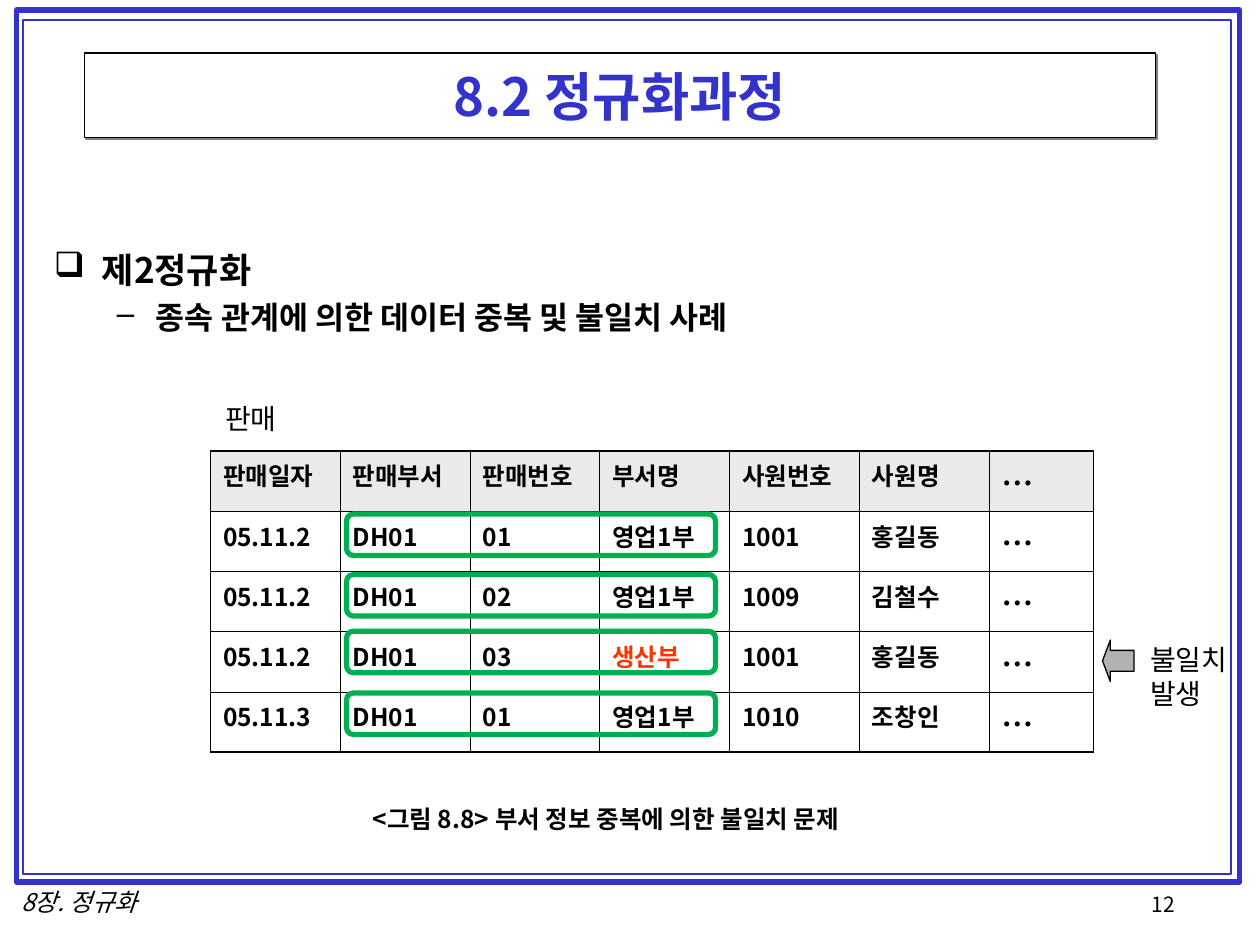
from dataclasses import dataclass

from lxml.etree import SubElement
from pptx import Presentation
from pptx.dml.color import RGBColor
from pptx.enum.shapes import MSO_SHAPE as Shape
from pptx.enum.text import MSO_ANCHOR as Anchor, PP_ALIGN as Align
from pptx.oxml.ns import qn
from pptx.util import Inches, Pt


@dataclass(frozen=True)
class Theme:
    """Colours, fonts and type sizes of the slide."""
    ink: str = "000000"
    paper: str = "FFFFFF"
    blue: str = "3333CC"
    green: str = "00B050"
    red: str = "FF3300"
    header: str = "EAEAEA"
    arrow: str = "B2B2B2"
    shadow: str = "808080"
    sans: str = "Noto Sans CJK KR"
    serif: str = "Times New Roman"
    title: int = 30
    topic: int = 20
    detail: int = 18
    label: int = 16
    small: int = 14
    number: int = 12
    thin: float = 0.45
    outer: float = 1.08


class SlideBuilder:
    """Draws styled elements on the current slide."""

    def __init__(self, theme, slide):
        self.theme = theme
        self.slide = slide

    def run(self, paragraph, text, size, color=None, font=None, bold=False, italic=False):
        """Add one formatted run for Latin and Korean letters."""
        run = paragraph.add_run()
        run.text = text
        run.font.size = Pt(size)
        run.font.bold = bold
        run.font.italic = italic
        run.font.name = font or self.theme.sans
        run.font.color.rgb = RGBColor.from_string(color or self.theme.ink)
        SubElement(run.font._element, qn("a:ea"), typeface=self.theme.sans)

    def title(self, text, box):
        """Fill the title placeholder as a framed box with a shadow."""
        title = self.slide.shapes.title
        title.left, title.top, title.width, title.height = map(Inches, box)
        title.fill.solid()
        title.fill.fore_color.rgb = RGBColor.from_string(self.theme.paper)
        title.line.color.rgb = RGBColor.from_string(self.theme.ink)
        title.line.width = Pt(0.75)
        effects = SubElement(title._element.spPr, qn("a:effectLst"))
        shadow = SubElement(effects, qn("a:outerShdw"), blurRad="0", dist=str(Pt(1.4)),
                            dir="2700000", algn="ctr", rotWithShape="0")
        SubElement(shadow, qn("a:srgbClr"), val=self.theme.shadow)
        title.text_frame.vertical_anchor = Anchor.MIDDLE
        paragraph = title.text_frame.paragraphs[0]
        paragraph.alignment = Align.CENTER
        self.run(paragraph, text, self.theme.title, self.theme.blue, bold=True)

    def shape(self, kind, box, line, width, fill=None, adjustments=()):
        """Add an outlined preset shape, filled when a colour is given."""
        shape = self.slide.shapes.add_shape(kind, *map(Inches, box))
        shape.shadow.inherit = False
        shape.line.color.rgb = RGBColor.from_string(line)
        shape.line.width = Pt(width)
        if fill:
            shape.fill.solid()
            shape.fill.fore_color.rgb = RGBColor.from_string(fill)
        else:
            shape.fill.background()
        for index, value in enumerate(adjustments):
            shape.adjustments[index] = value

    def text(self, lines, box, size, **style):
        """Add a text box with one paragraph per line."""
        frame = self.slide.shapes.add_textbox(*map(Inches, box)).text_frame
        frame.word_wrap = True
        for index, line in enumerate(lines):
            paragraph = frame.add_paragraph() if index else frame.paragraphs[0]
            self.run(paragraph, line, size, **style)

    def outline(self, items, box):
        """Add a bulleted outline of (text, level, bullet, size, margin, hanging, space)."""
        frame = self.slide.shapes.add_textbox(*map(Inches, box)).text_frame
        frame.word_wrap = True
        for index, (text, level, bullet, size, margin, hanging, space) in enumerate(items):
            paragraph = frame.add_paragraph() if index else frame.paragraphs[0]
            paragraph.level = level
            paragraph.space_before = Pt(space)
            properties = paragraph._p.get_or_add_pPr()
            properties.set("marL", str(Inches(margin)))
            properties.set("indent", str(-Inches(hanging)))
            color = SubElement(properties, qn("a:buClr"))
            SubElement(color, qn("a:srgbClr"), val=self.theme.ink)
            SubElement(properties, qn("a:buChar"), char=bullet)
            self.run(paragraph, text, size, bold=True)

    def border(self, cell, side, width):
        """Draw one side of a table cell."""
        line = SubElement(cell._tc.get_or_add_tcPr(), qn(f"a:ln{side}"), w=str(Pt(width)))
        fill = SubElement(line, qn("a:solidFill"))
        SubElement(fill, qn("a:srgbClr"), val=self.theme.ink)

    def table(self, rows, box, widths, highlight):
        """Add a bordered table with a shaded header and one highlighted value."""
        theme = self.theme
        table = self.slide.shapes.add_table(len(rows), len(widths), *map(Inches, box)).table
        table.first_row = table.horz_banding = False
        for column, width in zip(table.columns, widths):
            column.width = Inches(width)
        last_row, last_column = len(rows) - 1, len(widths) - 1
        for r, row in enumerate(rows):
            for c, value in enumerate(row):
                cell = table.cell(r, c)
                edges = {"L": c == 0, "R": c == last_column, "T": r == 0, "B": r == last_row}
                for side, is_outer in edges.items():
                    self.border(cell, side, theme.outer if is_outer else theme.thin)
                if r:
                    cell.fill.background()
                else:
                    cell.fill.solid()
                    cell.fill.fore_color.rgb = RGBColor.from_string(theme.header)
                is_ellipsis = value == "…"
                self.run(cell.text_frame.paragraphs[0], value,
                         theme.detail if is_ellipsis else theme.small,
                         theme.red if value == highlight else theme.ink,
                         theme.serif if is_ellipsis else theme.sans, bold=True)


def main():
    """Build the normalization slide."""
    theme = Theme()
    deck = Presentation()
    deck.slide_width, deck.slide_height = Inches(10), Inches(7.5)
    builder = SlideBuilder(theme, deck.slides.add_slide(deck.slide_layouts[5]))

    builder.shape(Shape.RECTANGLE, (0.13, 0.08, 9.71, 6.92), theme.blue, 3)
    builder.shape(Shape.RECTANGLE, (0.18, 0.16, 9.59, 6.78), theme.blue, 1)
    builder.text(["12"], (9.04, 7.03, 0.9, 0.33), theme.number)
    builder.text(["8장. 정규화"], (0.07, 6.99, 1.6, 0.34), theme.small, italic=True)
    builder.title("8.2 정규화과정", (0.67, 0.42, 8.5, 0.67))
    builder.outline([
        ("제2정규화", 0, "❑", theme.topic, 0.38, 0.38, 0),
        ("종속 관계에 의한 데이터 중복 및 불일치 사례", 1, "–", theme.detail, 0.81, 0.31, 4.5),
    ], (0.33, 1.92, 8.5, 4.5))

    sales = [
        ("판매일자", "판매부서", "판매번호", "부서명", "사원번호", "사원명", "…"),
        ("05.11.2", "DH01", "01", "영업1부", "1001", "홍길동", "…"),
        ("05.11.2", "DH01", "02", "영업1부", "1009", "김철수", "…"),
        ("05.11.2", "DH01", "03", "생산부", "1001", "홍길동", "…"),
        ("05.11.3", "DH01", "01", "영업1부", "1010", "조창인", "…"),
    ]
    builder.table(sales, (1.67, 3.58, 7, 2.39), [1.03] * 6 + [0.83], "생산부")
    builder.text(["판매"], (1.69, 3.14, 0.8, 0.37), theme.label, font=theme.serif)
    for top in (4.08, 4.56, 5.01, 5.5):
        builder.shape(Shape.ROUNDED_RECTANGLE, (2.75, top, 2.93, 0.33), theme.green, 3,
                      adjustments=(0.17,))

    builder.shape(Shape.LEFT_ARROW, (8.75, 5.08, 0.25, 0.33), theme.ink, 0.75,
                  theme.arrow, (0.5, 0.25))
    builder.text(["불일치", "발생"], (9.03, 5.05, 0.95, 0.64), theme.label, font=theme.serif)
    builder.text(["<그림 8.8> 부서 정보 중복에 의한 불일치 문제"], (2.86, 6.33, 4.5, 0.57),
                 theme.small, bold=True)
    deck.save("out.pptx")


if __name__ == "__main__":
    main()
